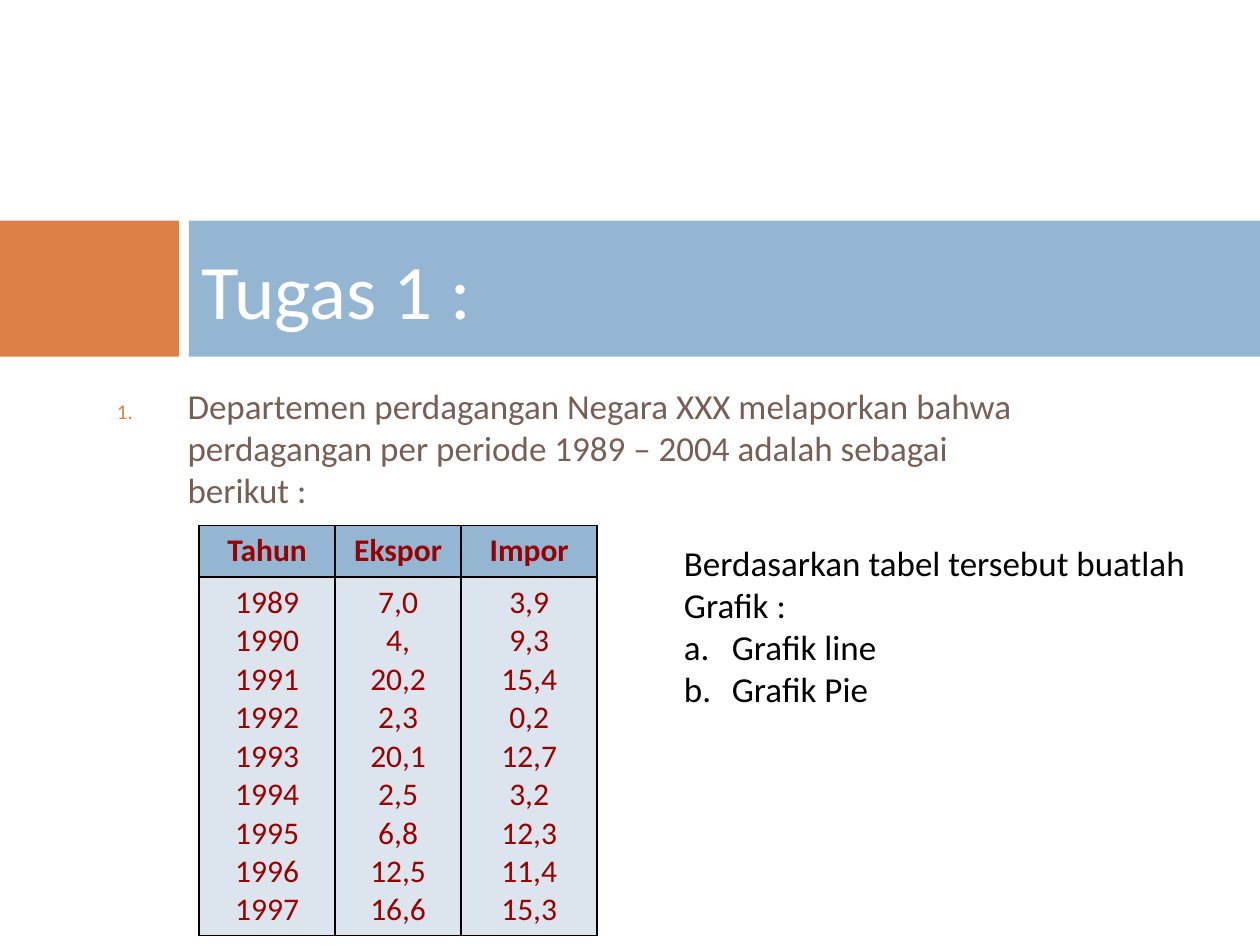
from dataclasses import dataclass

from lxml import etree
from pptx import Presentation
from pptx.dml.color import RGBColor
from pptx.enum.shapes import MSO_SHAPE
from pptx.enum.text import MSO_ANCHOR, MSO_AUTO_SIZE, PP_ALIGN
from pptx.oxml.ns import qn
from pptx.util import Inches, Pt

RECTANGLE = MSO_SHAPE.RECTANGLE
MIDDLE = MSO_ANCHOR.MIDDLE
LEFT, CENTER = PP_ALIGN.LEFT, PP_ALIGN.CENTER
NO_AUTOFIT, GROW = MSO_AUTO_SIZE.NONE, MSO_AUTO_SIZE.SHAPE_TO_FIT_TEXT

ORANGE = RGBColor(0xDD, 0x80, 0x47)
BLUE = RGBColor(0x94, 0xB6, 0xD2)
PALE_BLUE = RGBColor(0xDC, 0xE5, 0xEE)
BROWN = RGBColor(0x77, 0x5F, 0x55)
DARK_RED = RGBColor(0x99, 0x00, 0x00)
BLACK = RGBColor(0, 0, 0)
WHITE = RGBColor(0xFF, 0xFF, 0xFF)
FONT = "Calibri"


@dataclass
class Band:
    left: float
    width: float
    color: RGBColor


@dataclass
class TradeColumn:
    heading: str
    width: float
    values: list[str]


BAND_TOP, BAND_HEIGHT = 1.75, 1.08
BANDS = [Band(0, 1.42, ORANGE), Band(1.5, 8.5, BLUE)]
COLUMNS = [
    TradeColumn("Tahun", 1.08, [str(year) for year in range(1989, 1998)]),
    TradeColumn("Ekspor", 1.0, "7,0 4, 20,2 2,3 20,1 2,5 6,8 12,5 16,6".split()),
    TradeColumn("Impor", 1.08, "3,9 9,3 15,4 0,2 12,7 3,2 12,3 11,4 15,3".split()),
]
ROW_HEIGHTS = [0.41, 2.84]


def style(paragraph, size: float, color: RGBColor, bold: bool = False) -> None:
    font = paragraph.font
    font.name, font.size, font.bold = FONT, Pt(size), bold
    font.color.rgb = color


def number(paragraph, scheme: str, indent: float, color: RGBColor | None = None,
           percent: int = 100) -> None:
    """Give a paragraph an automatic number with a hanging indent."""
    props = paragraph._p.get_or_add_pPr()
    props.set("marL", str(Inches(indent)))
    props.set("indent", str(-Inches(indent)))
    bullets = []
    if color is not None:
        bullet_color = etree.Element(qn("a:buClr"))
        etree.SubElement(bullet_color, qn("a:srgbClr"), val=str(color))
        bullets.append(bullet_color)
    bullets.append(etree.Element(qn("a:buSzPct"), val=str(percent * 1000)))
    bullets.append(etree.Element(qn("a:buFont"), typeface="+mj-lt"))
    bullets.append(etree.Element(qn("a:buAutoNum"), type=scheme))
    position = 0 if props.find(qn("a:spcBef")) is None else 1
    for offset, bullet in enumerate(bullets):
        props.insert(position + offset, bullet)


def draw_band(slide, band: Band) -> None:
    shape = slide.shapes.add_shape(RECTANGLE, Inches(band.left), Inches(BAND_TOP),
                                   Inches(band.width), Inches(BAND_HEIGHT))
    shape.shadow.inherit = False
    shape.fill.solid()
    shape.fill.fore_color.rgb = band.color
    shape.line.fill.background()


def fill_cell(cell, lines: list[str], background: RGBColor, bold: bool) -> None:
    cell.text = "\n".join(lines)
    for paragraph in cell.text_frame.paragraphs:
        paragraph.alignment = CENTER
        style(paragraph, 18, DARK_RED, bold)
    cell.fill.solid()
    cell.fill.fore_color.rgb = background
    props = cell._tc.get_or_add_tcPr()
    for position, side in enumerate(("lnL", "lnR", "lnT", "lnB")):
        border = etree.Element(qn(f"a:{side}"), w=str(Pt(1)))
        solid = etree.SubElement(border, qn("a:solidFill"))
        etree.SubElement(solid, qn("a:srgbClr"), val=str(BLACK))
        props.insert(position, border)


presentation = Presentation()
presentation.slide_width, presentation.slide_height = Inches(10), Inches(7.5)
slide = presentation.slides.add_slide(presentation.slide_layouts[5])

# Title bands
for band in BANDS:
    draw_band(slide, band)

# Task introduction
intro = slide.shapes.add_textbox(Inches(0.83), Inches(3), Inches(7.79), Inches(4.5))
intro.text_frame.word_wrap = True
intro_line = intro.text_frame.paragraphs[0]
intro_line.text = ("Departemen perdagangan Negara XXX melaporkan bahwa perdagangan "
                   "per periode 1989 – 2004 adalah sebagai berikut :")
intro_line.space_before = Pt(7)
style(intro_line, 20, BROWN)
number(intro_line, "arabicPeriod", 0.56, ORANGE, 60)

# Title, in front of its band
title = slide.shapes.title
title.left, title.top = Inches(1.5), Inches(BAND_TOP)
title.width, title.height = Inches(8.33), Inches(BAND_HEIGHT)
title.text_frame.text = "Tugas 1 :"
title.text_frame.vertical_anchor = MIDDLE
title.text_frame.auto_size = NO_AUTOFIT
title.text_frame.paragraphs[0].alignment = LEFT
style(title.text_frame.paragraphs[0], 44, WHITE)
slide.shapes._spTree.append(title._element)

# Trade table
trade = slide.shapes.add_table(
    len(ROW_HEIGHTS), len(COLUMNS), Inches(1.58), Inches(4.17),
    Inches(sum(column.width for column in COLUMNS)), Inches(sum(ROW_HEIGHTS))).table
trade.first_row = trade.horz_banding = False
for row, height in zip(trade.rows, ROW_HEIGHTS):
    row.height = Inches(height)
for index, column in enumerate(COLUMNS):
    trade.columns[index].width = Inches(column.width)
    fill_cell(trade.cell(0, index), [column.heading], BLUE, True)
    fill_cell(trade.cell(1, index), column.values, PALE_BLUE, False)

# Assignment
assignment = slide.shapes.add_textbox(Inches(5.33), Inches(4.25), Inches(4.18), Inches(1.45))
assignment.text_frame.word_wrap = False
assignment.text_frame.auto_size = GROW
assignment.text_frame.text = "\n".join(
    ["Berdasarkan tabel tersebut buatlah", "Grafik :", "Grafik line", "Grafik Pie"])
for paragraph in assignment.text_frame.paragraphs:
    style(paragraph, 20, BLACK)
for choice in assignment.text_frame.paragraphs[2:]:
    number(choice, "alphaLcPeriod", 0.38)

presentation.save("out.pptx")
